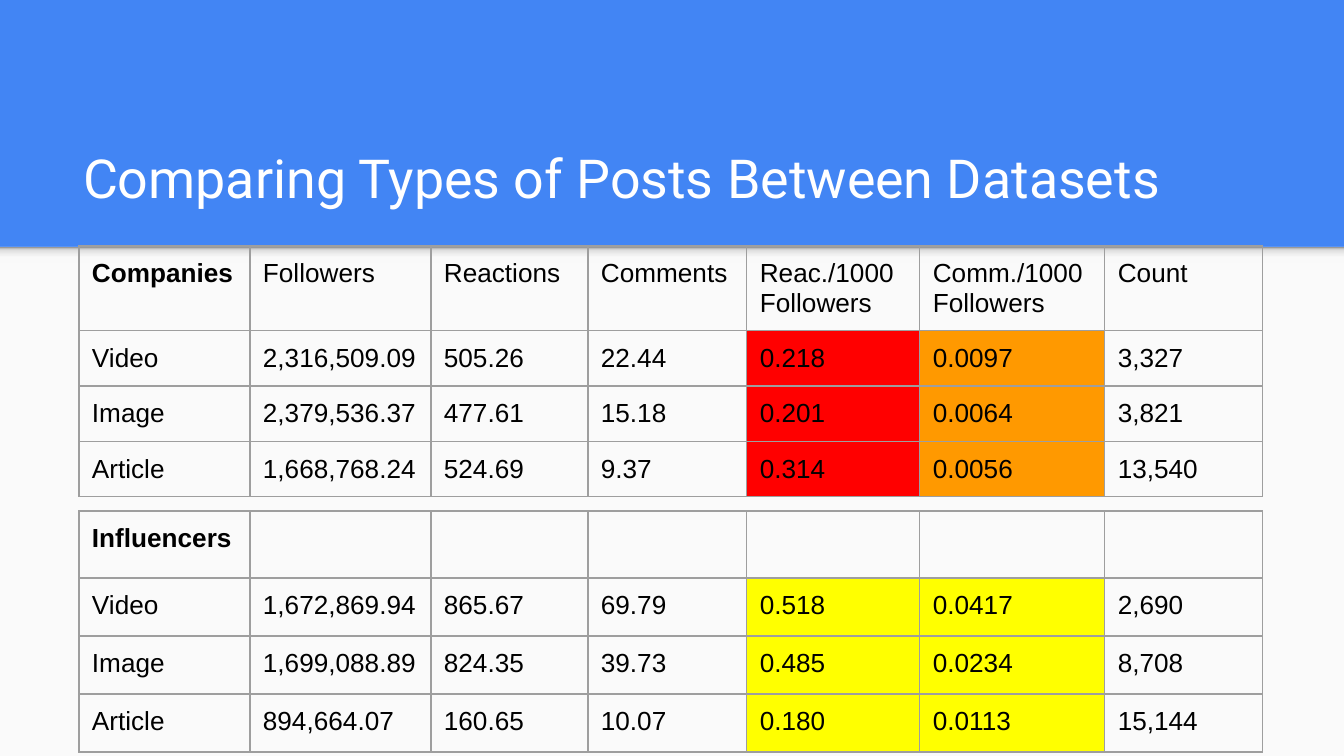
from copy import deepcopy
from dataclasses import dataclass

from lxml import etree
from pptx import Presentation
from pptx.dml.color import RGBColor
from pptx.enum.shapes import MSO_SHAPE
from pptx.enum.text import MSO_ANCHOR, MSO_AUTO_SIZE, PP_ALIGN
from pptx.oxml.ns import qn
from pptx.util import Emu, Pt

RECTANGLE = MSO_SHAPE.RECTANGLE
BOTTOM = MSO_ANCHOR.BOTTOM
LEFT = PP_ALIGN.LEFT
NO_AUTOFIT = MSO_AUTO_SIZE.NONE

SLIDE_WIDTH, SLIDE_HEIGHT = 1344, 756
EMU_PER_PX = 9144000 / SLIDE_WIDTH
BAND_HEIGHT = 247
SHADOW_HEIGHT = 16
INSET = 13
TABLE_LEFT = 79
COLUMN_WIDTHS = (171, 181, 157, 159, 173, 185, 158)
BORDER_SIDES = ("a:lnL", "a:lnR", "a:lnT", "a:lnB")
SHADOW_STOPS = ((0, "light"), (0.36, "light"), (0.8, "mid"), (1, "dark"))

COLORS = {
    "band": "4285F4",
    "body": "FAFAFA",
    "light": "F9F9F9",
    "mid": "DEDEDE",
    "dark": "999999",
    "title": "FFFFFF",
    "text": "000000",
    "border": "9E9E9E",
    "red": "FF0000",
    "orange": "FF9900",
    "yellow": "FFFF00",
}


@dataclass(frozen=True)
class Dataset:
    top: int
    row_heights: tuple[int, ...]
    reaction_color: str
    comment_color: str
    rows: tuple[tuple[str, ...], ...]


INFLUENCERS = Dataset(
    511, (38, 58, 58, 58), "yellow", "yellow",
    (
        ("Influencers", "", "", "", "", "", ""),
        ("Video", "1,672,869.94", "865.67", "69.79", "0.518", "0.0417", "2,690"),
        ("Image", "1,699,088.89", "824.35", "39.73", "0.485", "0.0234", "8,708"),
        ("Article", "894,664.07", "160.65", "10.07", "0.180", "0.0113", "15,144"),
    ),
)
COMPANIES = Dataset(
    246, (81, 52, 52, 52), "red", "orange",
    (
        ("Companies", "Followers", "Reactions", "Comments",
         "Reac./1000 Followers", "Comm./1000 Followers", "Count"),
        ("Video", "2,316,509.09", "505.26", "22.44", "0.218", "0.0097", "3,327"),
        ("Image", "2,379,536.37", "477.61", "15.18", "0.201", "0.0064", "3,821"),
        ("Article", "1,668,768.24", "524.69", "9.37", "0.314", "0.0056", "13,540"),
    ),
)


def px(length: int) -> Emu:
    return Emu(round(length * EMU_PER_PX))


def rgb(name: str) -> RGBColor:
    return RGBColor.from_string(COLORS[name])


def add_run(paragraph, text: str, font: str, size: float, color: str, bold: bool = False) -> None:
    run = paragraph.add_run()
    run.text = text
    run.font.name = font
    run.font.size = Pt(size)
    run.font.bold = bold
    run.font.color.rgb = rgb(color)


def set_insets(holder) -> None:
    holder.margin_left = holder.margin_right = px(INSET)
    holder.margin_top = holder.margin_bottom = px(INSET)


def add_full_width_panel(slide, top: int, height: int):
    panel = slide.shapes.add_shape(RECTANGLE, 0, px(top), px(SLIDE_WIDTH), px(height))
    panel.shadow.inherit = False
    panel.line.fill.background()
    return panel


def add_background(slide) -> None:
    slide.background.fill.solid()
    slide.background.fill.fore_color.rgb = rgb("band")
    body = add_full_width_panel(slide, BAND_HEIGHT, SLIDE_HEIGHT - BAND_HEIGHT)
    body.fill.solid()
    body.fill.fore_color.rgb = rgb("body")

    shadow = add_full_width_panel(slide, BAND_HEIGHT, SHADOW_HEIGHT)
    shadow.fill.gradient()
    shadow.fill.gradient_angle = 90
    stop_list = shadow.element.spPr.find(".//" + qn("a:gsLst"))
    for stop in list(stop_list):
        stop_list.append(deepcopy(stop))
    for stop, (position, color) in zip(shadow.fill.gradient_stops, SHADOW_STOPS):
        stop.position = position
        stop.color.rgb = rgb(color)


def add_title(slide, text: str) -> None:
    title = slide.shapes.title
    title.left, title.top, title.width, title.height = map(px, (70, 109, 1208, 113))
    frame = title.text_frame
    frame.auto_size = NO_AUTOFIT
    frame.word_wrap = True
    frame.vertical_anchor = BOTTOM
    set_insets(frame)
    frame.paragraphs[0].alignment = LEFT
    add_run(frame.paragraphs[0], text, "Roboto", 28.8, "title")


def add_borders(cell) -> None:
    properties = cell._tc.get_or_add_tcPr()
    for side in BORDER_SIDES:
        line = etree.SubElement(properties, qn(side), w=str(Pt(0.75)))
        fill = etree.SubElement(line, qn("a:solidFill"))
        etree.SubElement(fill, qn("a:srgbClr"), val=COLORS["border"])


def add_dataset(slide, dataset: Dataset) -> None:
    table = slide.shapes.add_table(
        len(dataset.rows), len(COLUMN_WIDTHS), px(TABLE_LEFT), px(dataset.top),
        px(sum(COLUMN_WIDTHS)), px(sum(dataset.row_heights)),
    ).table
    table.first_row = False
    table.horz_banding = False
    for column, width in zip(table.columns, COLUMN_WIDTHS):
        column.width = px(width)
    for row, height in zip(table.rows, dataset.row_heights):
        row.height = px(height)

    highlights = {4: dataset.reaction_color, 5: dataset.comment_color}
    for row_index, values in enumerate(dataset.rows):
        for column_index, value in enumerate(values):
            cell = table.cell(row_index, column_index)
            set_insets(cell)
            add_borders(cell)
            if row_index and column_index in highlights:
                cell.fill.solid()
                cell.fill.fore_color.rgb = rgb(highlights[column_index])
            else:
                cell.fill.background()
            if value:
                is_dataset_name = row_index == column_index == 0
                add_run(cell.text_frame.paragraphs[0], value, "Arial", 14, "text", is_dataset_name)


def main() -> None:
    presentation = Presentation()
    presentation.slide_width = px(SLIDE_WIDTH)
    presentation.slide_height = px(SLIDE_HEIGHT)
    slide = presentation.slides.add_slide(presentation.slide_layouts[5])
    add_background(slide)
    add_title(slide, "Comparing Types of Posts Between Datasets")
    for dataset in (INFLUENCERS, COMPANIES):
        add_dataset(slide, dataset)
    presentation.save("out.pptx")


if __name__ == "__main__":
    main()
